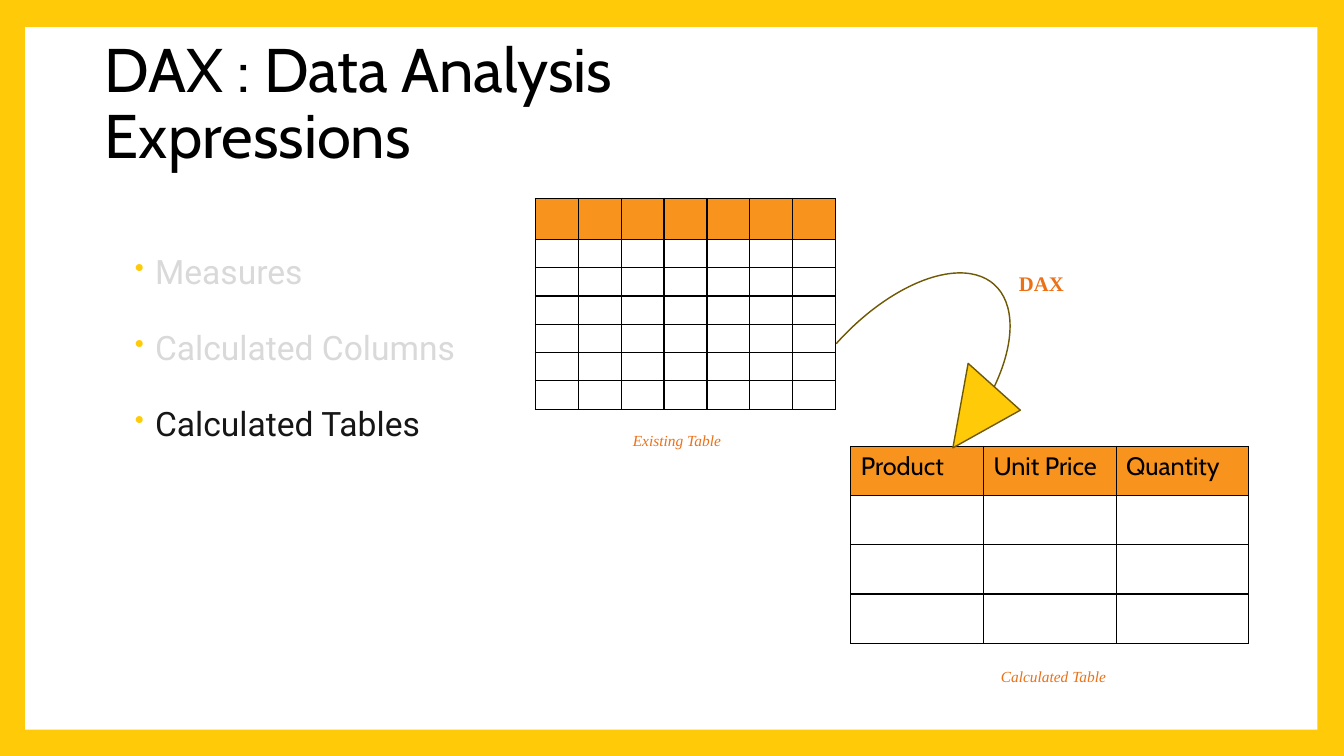
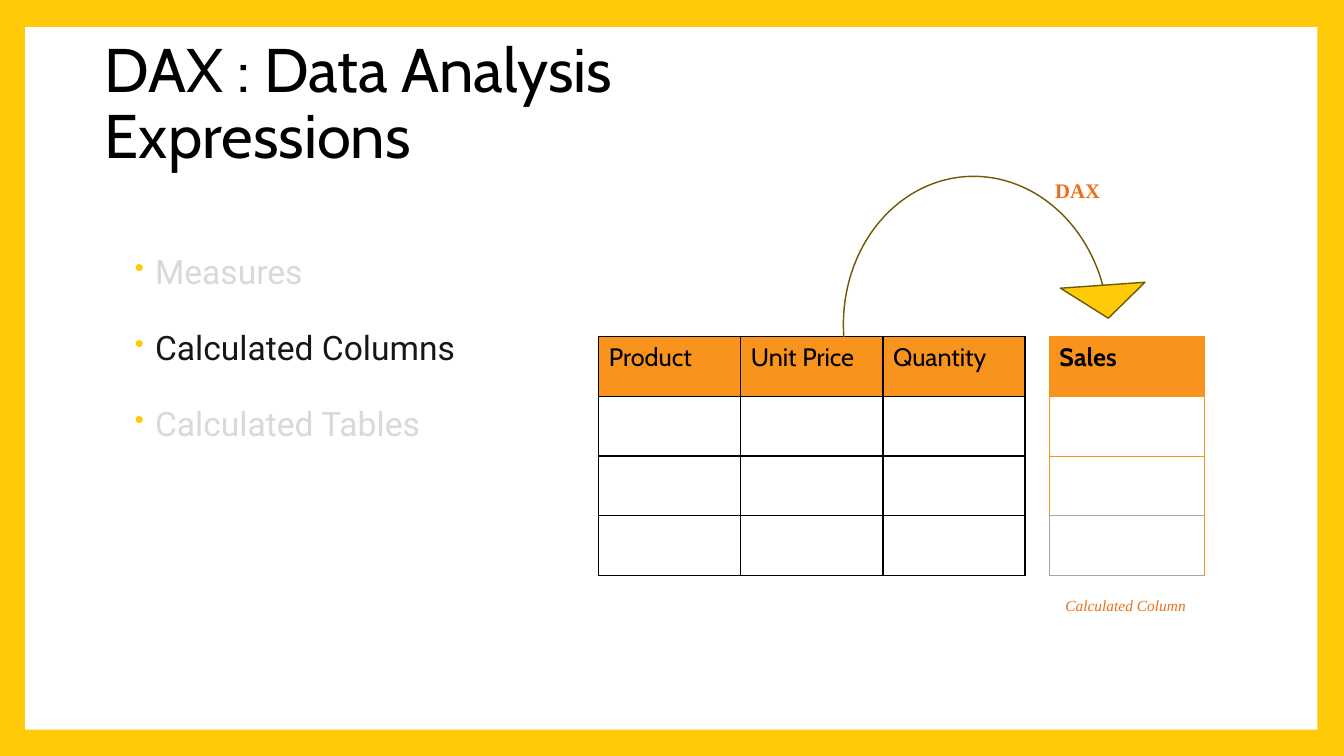
from dataclasses import dataclass

import lxml.etree
import pptx
import pptx.dml.color
import pptx.enum.shapes
import pptx.enum.text
import pptx.oxml.ns
import pptx.presentation
import pptx.slide
import pptx.table
import pptx.text.text
import pptx.util

SLIDE_WIDTH = pptx.util.Inches(13.333)
SLIDE_HEIGHT = pptx.util.Inches(7.5)
COLOURS = {
    "gold": "FFCA08", "panel": "FFFFFF", "header": "F8931D", "caption": "EC7016",
    "ink": "000000", "active": "161616", "muted": "D9D9D9", "outline": "705904",
    "grey": "A5A5A5",
}
HEADING_FONT, BODY_FONT, CAPTION_FONT = "Cabin", "Roboto", "Times New Roman"
TITLE = "DAX : Data Analysis Expressions"
TOPICS = ("Measures", "Calculated Columns", "Calculated Tables")
TOPIC_STEP = 10.07
PRODUCT_HEADERS = ("Product", "Unit Price", "Quantity")


@dataclass(frozen=True)
class Box:
    """Place and size, in percent of the slide's width and height."""
    left: float
    top: float
    width: float
    height: float

    def emu(self) -> tuple[int, int, int, int]:
        return (round(self.left * SLIDE_WIDTH / 100), round(self.top * SLIDE_HEIGHT / 100),
                round(self.width * SLIDE_WIDTH / 100), round(self.height * SLIDE_HEIGHT / 100))


@dataclass(frozen=True)
class Grid:
    box: Box
    headers: tuple[str, ...]
    rows: int = 4
    header_height: float | None = None
    bold: bool = False
    border: str = "ink"
    border_pt: float = 1
    grey_last_row: bool = False


@dataclass(frozen=True)
class Arrow:
    box: Box
    rotation: float
    adjustments: tuple[float, float, float]


@dataclass(frozen=True)
class Label:
    text: str
    left: float
    top: float
    is_formula: bool = False


@dataclass(frozen=True)
class Topic:
    active: str
    grids: tuple[Grid, ...]
    arrow: Arrow
    labels: tuple[Label, ...]


PANEL_BOX = Box(1.88, 3.6, 96.15, 92.93)
TITLE_BOX = Box(7.05, 7.87, 62.5, 12.13)
FIRST_TOPIC_BOX = Box(7.05, 33.07, 27.68, 7.07)

SLIDES = (
    Topic(
        "Calculated Tables",
        (Grid(Box(63.3, 59.07, 29.63, 26), PRODUCT_HEADERS),
         Grid(Box(39.83, 26.27, 22.35, 27.87), ("",) * 7, rows=7, header_height=5.4)),
        Arrow(Box(65.7, 33.87, 11.1, 25.33), 311.9, (0, 0.47, 0.49)),
        (Label("Existing Table", 44.1, 56.67),
         Label("Calculated Table", 71.48, 87.87),
         Label("DAX", 72.83, 36, is_formula=True)),
    ),
    Topic(
        "Calculated Columns",
        (Grid(Box(44.55, 44.53, 31.73, 31.6), PRODUCT_HEADERS),
         Grid(Box(78.08, 44.53, 11.55, 31.6), ("Sales",), bold=True, border="header",
              border_pt=0.5, grey_last_row=True)),
        Arrow(Box(68.18, 12.8, 11.25, 40.67), 266, (0, 0.56, 0.22)),
        (Label("Calculated Column", 76.28, 78.53),
         Label("DAX", 75.53, 23.73, is_formula=True)),
    ),
)


def rgb(colour: str) -> pptx.dml.color.RGBColor:
    return pptx.dml.color.RGBColor.from_string(COLOURS[colour])


def sub(parent, tag: str, **attributes: str):
    child = lxml.etree.SubElement(parent, pptx.oxml.ns.qn(tag))
    for key, value in attributes.items():
        child.set(key, value)
    return child


def write(frame: pptx.text.text.TextFrame, text: str, *, font: str, size: float,
          colour: str, bold: bool = False, italic: bool = False,
          spacing: float | None = None, before: float = 0, after: float = 0,
          indent: float = 0, hanging: float = 0, bullet: bool = False) -> None:
    frame.word_wrap = True
    paragraph = frame.paragraphs[0]
    paragraph.alignment = pptx.enum.text.PP_ALIGN.LEFT
    paragraph.line_spacing = spacing
    paragraph.space_before = pptx.util.Pt(before)
    paragraph.space_after = pptx.util.Pt(after)
    run = paragraph.add_run()
    run.text = text
    run.font.name, run.font.size = font, pptx.util.Pt(size)
    run.font.bold, run.font.italic = bold, italic
    run.font.color.rgb = rgb(colour)
    properties = paragraph._p.get_or_add_pPr()
    properties.set("marL", str(pptx.util.Inches(indent)))
    properties.set("indent", str(pptx.util.Inches(-hanging)))
    if bullet:
        sub(sub(properties, "a:buClr"), "a:srgbClr", val=COLOURS["gold"])
        sub(properties, "a:buSzPct", val="80000")
        sub(properties, "a:buChar", char="•")


def set_borders(cell: pptx.table._Cell, points: float, **sides: str) -> None:
    properties = cell._tc.get_or_add_tcPr()
    for side in ("L", "R", "T", "B"):
        line = sub(properties, f"a:ln{side}", w=str(pptx.util.Pt(points)))
        sub(sub(line, "a:solidFill"), "a:srgbClr", val=COLOURS[sides[side]])


def draw_grid(slide: pptx.slide.Slide, grid: Grid) -> None:
    columns = len(grid.headers)
    left, top, width, height = grid.box.emu()
    table = slide.shapes.add_table(grid.rows, columns, left, top, width, height).table
    table.first_row = table.horz_banding = False
    for column in table.columns:
        column.width = width // columns
    if grid.header_height:
        header_height = round(grid.header_height * SLIDE_HEIGHT / 100)
    else:
        header_height = height // grid.rows
    for index, row in enumerate(table.rows):
        row.height = (height - header_height) // (grid.rows - 1) if index else header_height
        grey_row = grid.grey_last_row and index == grid.rows - 1
        above_grey = grid.grey_last_row and index == grid.rows - 2
        for cell, header in zip(row.cells, grid.headers):
            edge = "grey" if grey_row else grid.border
            set_borders(cell, grid.border_pt, L=edge, R=grid.border, T=edge,
                        B="grey" if above_grey else edge)
            cell.fill.solid()
            cell.fill.fore_color.rgb = rgb("panel" if index else "header")
            if header and not index:
                write(cell.text_frame, header, font=HEADING_FONT, size=18,
                      colour="ink", bold=grid.bold)
            else:
                # A small empty line lets the row keep its height
                sub(cell.text_frame.paragraphs[0]._p, "a:endParaRPr", sz="800")


def draw_arrow(slide: pptx.slide.Slide, arrow: Arrow) -> None:
    curve = slide.shapes.add_shape(
        pptx.enum.shapes.MSO_SHAPE.CURVED_LEFT_ARROW, *arrow.box.emu())
    curve.shadow.inherit = False
    curve.rotation = arrow.rotation
    for index, value in enumerate(arrow.adjustments):
        curve.adjustments[index] = value
    curve.fill.solid()
    curve.fill.fore_color.rgb = rgb("gold")
    curve.line.color.rgb = rgb("outline")
    curve.line.width = pptx.util.Pt(1)


def draw_label(slide: pptx.slide.Slide, label: Label) -> None:
    box = Box(label.left, label.top, 13.2, 4.67)
    formula = label.is_formula
    write(slide.shapes.add_textbox(*box.emu()).text_frame, label.text,
          font=CAPTION_FONT, size=14.8 if formula else 11, colour="caption",
          bold=formula, italic=not formula, spacing=0.7 if formula else 0.9,
          before=2, after=4, indent=0.3)


def draw_topics(slide: pptx.slide.Slide, active: str) -> None:
    first = FIRST_TOPIC_BOX
    for index, topic in enumerate(TOPICS):
        box = Box(first.left, first.top + index * TOPIC_STEP, first.width, first.height)
        write(slide.shapes.add_textbox(*box.emu()).text_frame, topic, font=BODY_FONT,
              size=24, colour="active" if topic == active else "muted", spacing=0.9,
              before=2, after=4, indent=0.5, hanging=0.2, bullet=True)


def draw_title(slide: pptx.slide.Slide) -> None:
    title = slide.shapes.title
    title.left, title.top, title.width, title.height = TITLE_BOX.emu()
    title.text_frame.auto_size = pptx.enum.text.MSO_AUTO_SIZE.NONE
    title.text_frame.vertical_anchor = pptx.enum.text.MSO_ANCHOR.MIDDLE
    write(title.text_frame, TITLE, font=HEADING_FONT, size=44, colour="ink", spacing=0.9)


def frame_master(deck: pptx.presentation.Presentation, slide: pptx.slide.Slide) -> None:
    """Give the master its gold ground and white panel, shared by all slides."""
    master = deck.slide_master
    master.background.fill.solid()
    master.background.fill.fore_color.rgb = rgb("gold")
    panel = slide.shapes.add_shape(pptx.enum.shapes.MSO_SHAPE.RECTANGLE, *PANEL_BOX.emu())
    panel.shadow.inherit = False
    panel.fill.solid()
    panel.fill.fore_color.rgb = rgb("panel")
    panel.line.fill.background()
    master.shapes._spTree.insert(2, panel._element)


def main() -> None:
    deck = pptx.Presentation()
    deck.slide_width, deck.slide_height = SLIDE_WIDTH, SLIDE_HEIGHT
    title_only = deck.slide_layouts.get_by_name("Title Only")
    for number, topic in enumerate(SLIDES):
        slide = deck.slides.add_slide(title_only)
        if number == 0:
            frame_master(deck, slide)
        draw_title(slide)
        draw_topics(slide, topic.active)
        for grid in topic.grids:
            draw_grid(slide, grid)
        draw_arrow(slide, topic.arrow)
        for label in topic.labels:
            draw_label(slide, label)
    deck.save("out.pptx")


if __name__ == "__main__":
    main()
